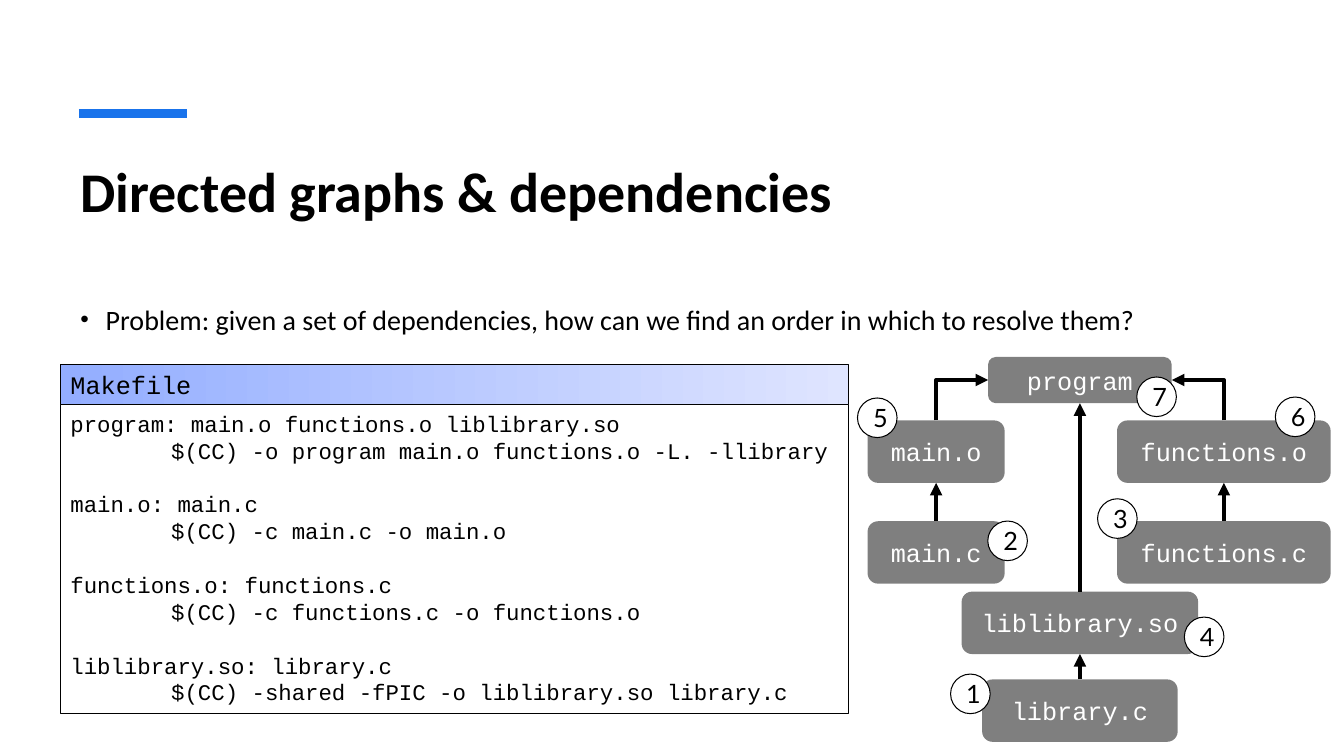
from pptx import Presentation
from pptx import util as u
from pptx.dml import color
from pptx.enum import shapes, text
from pptx.oxml import ns
from lxml import etree

Pt = u.Pt
COLORS = {"ink": "000000", "paper": "FFFFFF", "accent": "1973EB",
          "head_from": "93ADFF", "head_to": "DFE5FF"}

# Content
TITLE = "Directed graphs & dependencies"
PROBLEM = ("Problem: given a set of dependencies, how can we find "
           "an order in which to resolve them?")
FILE_NAME = "Makefile"
RULES = [
    ("program: main.o functions.o liblibrary.so",
     "$(CC) -o program main.o functions.o -L. -llibrary"),
    ("main.o: main.c", "$(CC) -c main.c -o main.o"),
    ("functions.o: functions.c", "$(CC) -c functions.c -o functions.o"),
    ("liblibrary.so: library.c", "$(CC) -shared -fPIC -o liblibrary.so library.c"),
]
# Node: centre x, top, width, height
LEFT, MIDDLE, RIGHT = 668.7, 771.4, 874.2
NODES = {
    "program": (MIDDLE, 255, 131.2, 33),
    "main.o": (LEFT, 300.3, 97.9, 44.6),
    "main.c": (LEFT, 372.3, 97.9, 44.6),
    "functions.o": (RIGHT, 300.3, 152.6, 44.6),
    "functions.c": (RIGHT, 372.3, 152.6, 44.6),
    "liblibrary.so": (MIDDLE, 422.6, 169, 44.6),
    "library.c": (MIDDLE, 485.3, 139.7, 44.6),
}
# Arrow: source, target, side of the target
ARROWS = [
    ("liblibrary.so", "program", 2), ("functions.c", "functions.o", 2),
    ("main.c", "main.o", 2), ("library.c", "liblibrary.so", 2),
    ("main.o", "program", 1), ("functions.o", "program", 3),
]
# Order of resolving: left and top of badges 1 to 7
BADGES = [(679, 481.5), (705.6, 372.2), (784, 356.3), (846, 440.8),
          (612.5, 284.3), (911, 283.6), (812, 269.3)]
BADGE_SIZE = 28.3


def rgb(name):
    return color.RGBColor.from_string(COLORS[name])


def write(para, words, size, font, ink="ink", bold=False):
    span = para.add_run()
    span.text = words
    values = {"size": Pt(size), "name": font, "bold": bold}
    for key, value in values.items():
        setattr(span.font, key, value)
    span.font.color.rgb = rgb(ink)


def add_box(kind, left, top, width, height, fill=None, line=None, **frame):
    box = page.shapes.add_shape(kind, Pt(left), Pt(top), Pt(width), Pt(height))
    box.shadow.inherit = False
    if fill:
        box.fill.solid()
        box.fill.fore_color.rgb = rgb(fill)
    else:
        box.fill.background()
    if line:
        box.line.color.rgb = rgb(line)
        box.line.width = Pt(0.75)
    else:
        box.line.fill.background()
    for key, value in frame.items():
        setattr(box.text_frame, key, value)
    return box


def style_line(line, ink, width):
    line.line.color.rgb = rgb(ink)
    line.line.width = Pt(width)
    etree.SubElement(line._element.spPr, ns.qn("a:effectLst"))


def bend(line, rotation, flips):
    """Make a one-corner elbow that leaves upwards and arrives sideways."""
    across = abs(line.end_x - line.begin_x)
    rise = abs(line.end_y - line.begin_y)
    center_x = (line.begin_x + line.end_x) // 2
    center_y = (line.begin_y + line.end_y) // 2
    frame = {"left": center_x - rise // 2, "top": center_y - across // 2,
             "width": rise, "height": across}
    for key, value in frame.items():
        setattr(line, key, value)
    properties = line._element.spPr
    properties.find(ns.qn("a:prstGeom")).set("prst", "bentConnector2")
    transform = properties.find(ns.qn("a:xfrm"))
    transform.set("rot", str(rotation * 60000))
    for name in ("flipH", "flipV"):
        transform.set(name, "1" if name in flips else "0")


deck = Presentation()
deck.slide_width, deck.slide_height = Pt(960), Pt(540)
page = deck.slides.add_slide(deck.slide_layouts[5])
SHAPE, LINE = shapes.MSO_SHAPE, shapes.MSO_CONNECTOR
TOP, CENTER = text.MSO_ANCHOR.TOP, text.MSO_ANCHOR.MIDDLE
ALIGN = text.PP_ALIGN

# Accent line and title
accent = page.shapes.add_connector(LINE.STRAIGHT, Pt(56.4), Pt(81.2), Pt(133.4), Pt(81.2))
style_line(accent, "accent", 6)
title = page.shapes.title
for key, value in {"left": 50.4, "top": 108, "width": 857.5, "height": 86.4}.items():
    setattr(title, key, Pt(value))
title.text_frame.vertical_anchor = TOP
title.text_frame.paragraphs[0].alignment = ALIGN.LEFT
write(title.text_frame.paragraphs[0], TITLE, 40, "Calibri", bold=True)

# Problem bullet
problem = page.shapes.add_textbox(Pt(50.4), Pt(207.4), Pt(857.5), Pt(36))
problem.text_frame.word_wrap = True
para = problem.text_frame.paragraphs[0]
para.line_spacing = 1.2
write(para, PROBLEM, 20, "Calibri")
layout = para._p.get_or_add_pPr()
layout.set("marL", str(Pt(18)))
layout.set("indent", str(Pt(-18)))
etree.SubElement(layout, ns.qn("a:buSzPct")).set("val", "87000")
etree.SubElement(layout, ns.qn("a:buFont")).set("typeface", "Arial")
etree.SubElement(layout, ns.qn("a:buChar")).set("char", "•")

# Makefile listing, commands one tab in, a blank line's gap after each rule
listing = add_box(SHAPE.RECTANGLE, 43.2, 289.2, 563, 220.4, line="ink",
                  vertical_anchor=TOP, word_wrap=True)
lines = [line for rule in RULES for line in (rule[0], "\t" + rule[1])]
for index, words in enumerate(lines):
    frame = listing.text_frame
    para = frame.add_paragraph() if index else frame.paragraphs[0]
    para.alignment = ALIGN.LEFT
    if index % 2:
        para.space_after = Pt(19.2)
        tabs = etree.SubElement(para._p.get_or_add_pPr(), ns.qn("a:tabLst"))
        tab = etree.SubElement(tabs, ns.qn("a:tab"))
        tab.set("pos", str(Pt(72)))
        tab.set("algn", "l")
    write(para, words, 16, "Courier New")

header = add_box(SHAPE.RECTANGLE, 43.2, 260.2, 563, 29, line="ink", vertical_anchor=TOP)
header.fill.gradient()
header.fill.gradient_angle = 0
for stop, name, position in zip(header.fill.gradient_stops, ("head_from", "head_to"), (0, 1)):
    stop.color.rgb = rgb(name)
    stop.position = position
para = header.text_frame.paragraphs[0]
para.alignment = ALIGN.LEFT
write(para, FILE_NAME, 18, "Courier New")

# Dependency graph nodes, half transparent
nodes = {}
for name, (center, top, width, height) in NODES.items():
    node = add_box(SHAPE.ROUNDED_RECTANGLE, center - width / 2, top, width, height,
                   fill="ink", vertical_anchor=CENTER, word_wrap=False)
    shade = node._element.spPr.find(ns.qn("a:solidFill"))[0]
    etree.SubElement(shade, ns.qn("a:alpha")).set("val", "50000")
    para = node.text_frame.paragraphs[0]
    para.alignment = ALIGN.CENTER
    write(para, name, 18, "Courier New", "paper")
    nodes[name] = node

# Arrows
for source, target, side in ARROWS:
    kind = LINE.STRAIGHT if side == 2 else LINE.ELBOW
    arrow = page.shapes.add_connector(kind, 0, 0, 0, 0)
    arrow.begin_connect(nodes[source], 0)
    arrow.end_connect(nodes[target], side)
    style_line(arrow, "ink", 3)
    etree.SubElement(arrow.line._get_or_add_ln(), ns.qn("a:tailEnd")).set("type", "triangle")
    if side == 1:
        bend(arrow, 90, ("flipH", "flipV"))
    elif side == 3:
        bend(arrow, 270, ("flipV",))

# Order badges
for number, (left, top) in enumerate(BADGES, 1):
    badge = add_box(SHAPE.OVAL, left, top, BADGE_SIZE, BADGE_SIZE, fill="paper", line="ink",
                    vertical_anchor=CENTER, word_wrap=False, margin_left=Pt(4.5),
                    margin_right=0, margin_top=0, margin_bottom=0)
    para = badge.text_frame.paragraphs[0]
    para.alignment = ALIGN.CENTER
    write(para, str(number), 18, "Lato")

deck.save("out.pptx")
